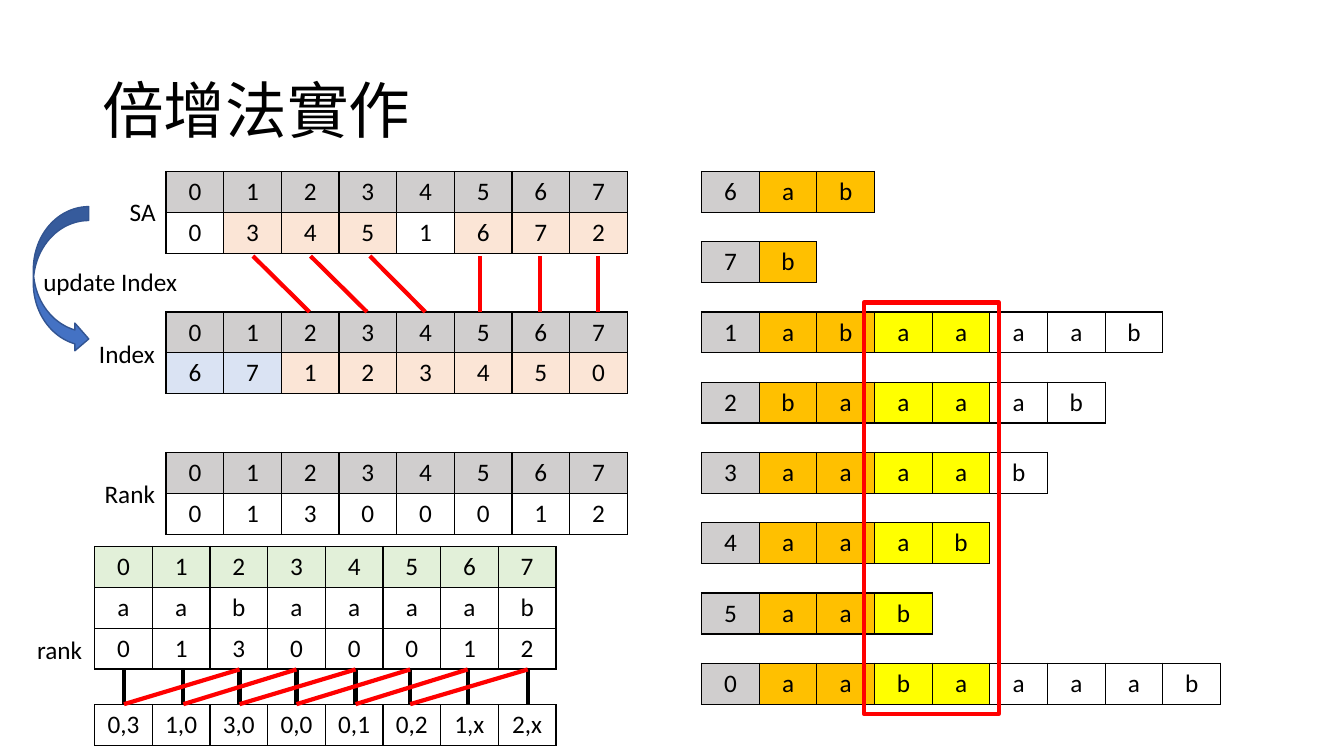
from dataclasses import dataclass

import lxml.etree
import pptx
import pptx.dml.color
import pptx.enum.shapes
import pptx.enum.text
import pptx.oxml.ns
import pptx.util

Pt = pptx.util.Pt
qn = pptx.oxml.ns.qn

COLORS = {
    "black": "000000",
    "red": "FF0000",
    "arrow": "4472C4",
    "arrow_edge": "325491",
}
CELL_FILLS = {
    "g": "D0CECE",
    "p": "FBE5D6",
    "b": "DAE3F3",
    "e": "E2F0D9",
    "o": "FFC000",
    "y": "FFFF00",
}
CELL_W, CELL_H = 41.2, 29.2
TOP, STEP = 122.4, 50.2
ARRAY_X, STRING_X, SUFFIX_X = 118.6, 67.6, 501.1
STRING_Y, PAIR_Y = 390.3, 503.3
DIGITS = "0 1 2 3 4 5 6 7"
NO_FILL = "." * 8


@dataclass
class Grid:
    """Rows hold space-separated cells; each fills string has one code per cell."""
    x: float
    y: float
    rows: list[str]
    fills: list[str]


@dataclass
class Label:
    text: str
    x: float
    y: float
    w: float
    h: float = 29.1
    size: float = 18
    wrap: bool = False
    anchor: pptx.enum.text.MSO_ANCHOR = pptx.enum.text.MSO_ANCHOR.TOP
    line_spacing: float = 1.0


@dataclass
class Link:
    x1: float
    y1: float
    x2: float
    y2: float
    color: str


GRIDS = [
    Grid(ARRAY_X, TOP, [DIGITS, "0 3 4 5 1 6 7 2"], ["g" * 8, ".ppp.ppp"]),
    Grid(ARRAY_X, TOP + 2 * STEP, [DIGITS, "6 7 1 2 3 4 5 0"], ["g" * 8, "bbpppppp"]),
    Grid(ARRAY_X, TOP + 4 * STEP, [DIGITS, "0 1 3 0 0 0 1 2"], ["g" * 8, NO_FILL]),
    Grid(STRING_X, STRING_Y, [DIGITS], ["e" * 8]),
    Grid(STRING_X, STRING_Y + CELL_H, ["a a b a a a a b"], [NO_FILL]),
    Grid(STRING_X, STRING_Y + 2 * CELL_H, ["0 1 3 0 0 0 1 2"], [NO_FILL]),
    Grid(STRING_X, PAIR_Y, ["0,3 1,0 3,0 0,0 0,1 0,2 1,x 2,x"], [NO_FILL]),
]
SUFFIXES = [
    "6 a b",
    "7 b",
    "1 a b a a a a b",
    "2 b a a a a b",
    "3 a a a a b",
    "4 a a a b",
    "5 a a b",
    "0 a a b a a a a b",
]
GRIDS += [
    Grid(SUFFIX_X, TOP + i * STEP, [row], ["gooyy...."])
    for i, row in enumerate(SUFFIXES)
]

LABELS = [
    Label("倍增法實作", 66, 28.8, 828, 104.4, 44, True,
          pptx.enum.text.MSO_ANCHOR.MIDDLE, 0.9),
    Label("SA", 85.6, 136.9, 33.1),
    Label("Index", 63.6, 237.8, 54.8),
    Label("Rank", 67.6, 337.9, 51),
    Label("update Index", 23.8, 187, 121, wrap=True),
    Label("rank", 19.4, 449.3, 46.8),
]

PAIR_XS = [88.6, 131, 171.1, 211.8, 254, 293, 334.1, 377]
PAIR_LINE_TOP, PAIR_LINE_BOTTOM = 478.2, 503
UPDATE_XS = [(180.7, 221), (221.8, 262.1), (264.2, 303.8),
             (342.7, 342.7), (385.9, 385.9), (427, 427)]
LINKS = [Link(x, PAIR_LINE_TOP, x, PAIR_LINE_BOTTOM, "black") for x in PAIR_XS]
LINKS += [Link(upper, PAIR_LINE_TOP, lower, PAIR_LINE_BOTTOM, "red")
          for lower, upper in zip(PAIR_XS, PAIR_XS[2:])]
LINKS += [Link(x1, 182.9, x2, 222.8, "red") for x1, x2 in UPDATE_XS]


def rgb(value: str) -> pptx.dml.color.RGBColor:
    return pptx.dml.color.RGBColor.from_string(value)


def apply(target, values: dict) -> None:
    for name, value in values.items():
        setattr(target, name, value)


def write(p, text: str, size: float) -> None:
    r = p.add_run()
    r.text = text
    apply(r.font, {"name": "Calibri", "size": Pt(size), "bold": False})
    r.font.color.rgb = rgb(COLORS["black"])


def set_line(line, color: str, width: float) -> None:
    line.color.rgb = rgb(COLORS[color])
    line.width = Pt(width)


def add_borders(cell) -> None:
    props = cell._tc.get_or_add_tcPr()
    for side in ("lnL", "lnR", "lnT", "lnB"):
        ln = lxml.etree.SubElement(props, qn(f"a:{side}"), w=str(Pt(1)))
        fill = lxml.etree.SubElement(ln, qn("a:solidFill"))
        lxml.etree.SubElement(fill, qn("a:srgbClr"), val=COLORS["black"])


def draw_cell(cell, text: str, code: str) -> None:
    add_borders(cell)
    if code in CELL_FILLS:
        cell.fill.solid()
        cell.fill.fore_color.rgb = rgb(CELL_FILLS[code])
    else:
        cell.fill.background()
    cell.vertical_anchor = pptx.enum.text.MSO_ANCHOR.MIDDLE
    p = cell.text_frame.paragraphs[0]
    p.alignment = pptx.enum.text.PP_ALIGN.CENTER
    write(p, text, 18)


def draw_grid(s, grid: Grid) -> None:
    rows = [row.split() for row in grid.rows]
    n_rows, n_cols = len(rows), len(rows[0])
    table = s.shapes.add_table(n_rows, n_cols, Pt(grid.x), Pt(grid.y),
                               Pt(n_cols * CELL_W), Pt(n_rows * CELL_H)).table
    apply(table, {"first_row": False, "horz_banding": False})
    for column in table.columns:
        column.width = Pt(CELL_W)
    for i, (texts, codes) in enumerate(zip(rows, grid.fills)):
        table.rows[i].height = Pt(CELL_H)
        for j, (text, code) in enumerate(zip(texts, codes)):
            draw_cell(table.cell(i, j), text, code)


def draw_label(s, label: Label) -> None:
    box = s.shapes.add_textbox(Pt(label.x), Pt(label.y), Pt(label.w), Pt(label.h))
    tf = box.text_frame
    apply(tf, {"word_wrap": label.wrap, "vertical_anchor": label.anchor})
    p = tf.paragraphs[0]
    p.line_spacing = label.line_spacing
    write(p, label.text, label.size)


def draw_link(s, link: Link) -> None:
    line = s.shapes.add_connector(pptx.enum.shapes.MSO_CONNECTOR.STRAIGHT,
                                  Pt(link.x1), Pt(link.y1), Pt(link.x2), Pt(link.y2))
    set_line(line.line, link.color, 3)
    lxml.etree.SubElement(line._element.spPr, qn("a:effectLst"))


def draw_update_arrow(s) -> None:
    sp = s.shapes.add_shape(pptx.enum.shapes.MSO_SHAPE.CURVED_RIGHT_ARROW,
                            Pt(23.8), Pt(147.6), Pt(39.6), Pt(104.4))
    sp.shadow.inherit = False
    sp.fill.solid()
    sp.fill.fore_color.rgb = rgb(COLORS["arrow"])
    set_line(sp.line, "arrow_edge", 1)


def draw_second_key_frame(s) -> None:
    sp = s.shapes.add_shape(pptx.enum.shapes.MSO_SHAPE.RECTANGLE,
                            Pt(617), Pt(216), Pt(96.5), Pt(293.8))
    sp.shadow.inherit = False
    sp.fill.background()
    set_line(sp.line, "red", 3)


def main() -> None:
    prs = pptx.Presentation()
    apply(prs, {"slide_width": Pt(960), "slide_height": Pt(540)})
    s = prs.slides.add_slide(prs.slide_layouts[6])
    for grid in GRIDS:
        draw_grid(s, grid)
    draw_update_arrow(s)
    for label in LABELS:
        draw_label(s, label)
    for link in LINKS:
        draw_link(s, link)
    draw_second_key_frame(s)
    prs.save("out.pptx")


if __name__ == "__main__":
    main()
